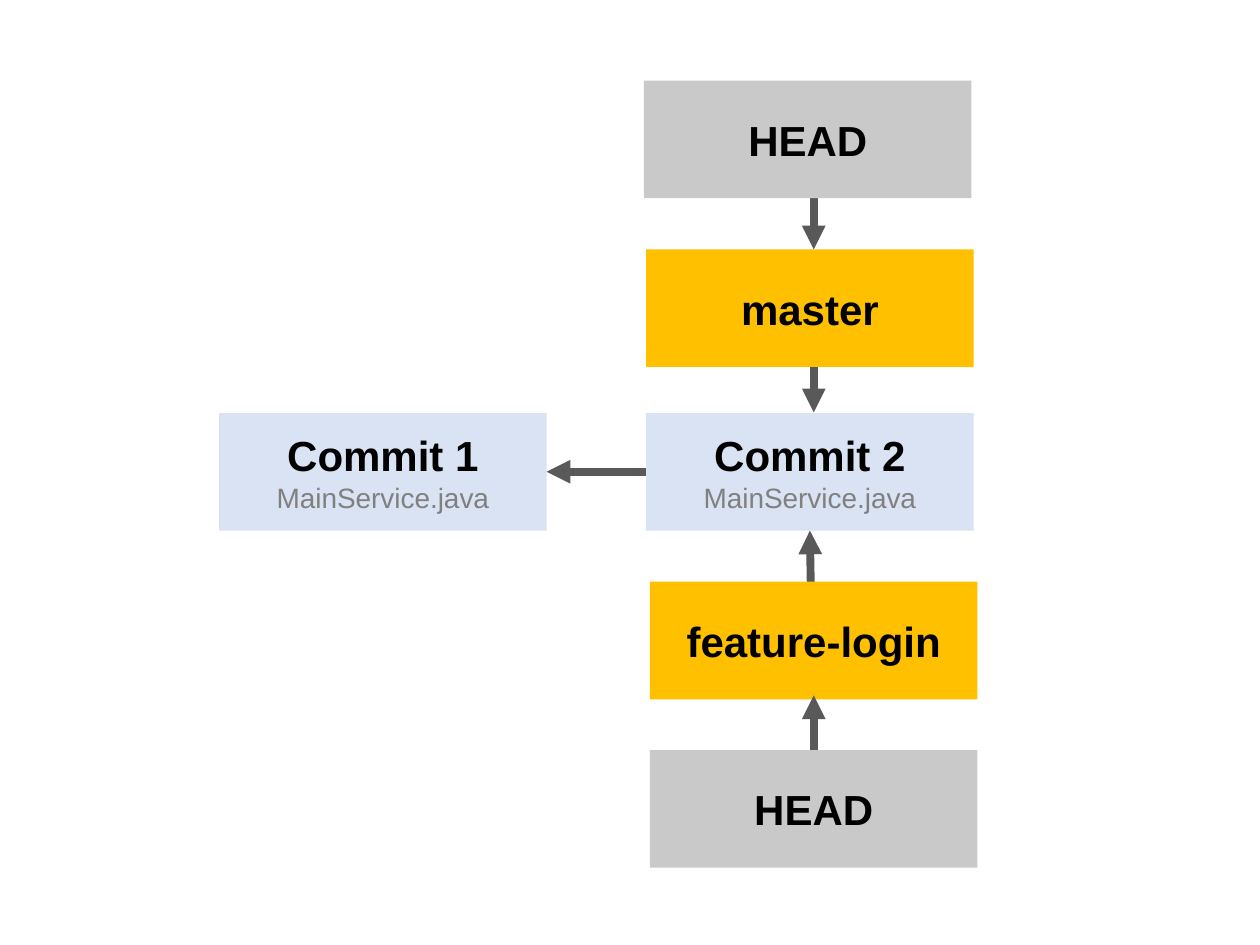
from dataclasses import dataclass

from lxml import etree
from pptx import Presentation
from pptx.dml.color import RGBColor
from pptx.enum.shapes import MSO_CONNECTOR, MSO_SHAPE
from pptx.enum.text import MSO_ANCHOR, PP_ALIGN
from pptx.oxml.ns import qn
from pptx.util import Pt

RECTANGLE = MSO_SHAPE.RECTANGLE
STRAIGHT = MSO_CONNECTOR.STRAIGHT
MIDDLE = MSO_ANCHOR.MIDDLE
CENTER = PP_ALIGN.CENTER
LEFT_SIDE, BOTTOM_SIDE, RIGHT_SIDE = 1, 2, 3


@dataclass(frozen=True)
class Theme:
    font: str = "Arial"
    name_size: float = 24
    file_size: float = 16
    arrow_width: float = 4.5
    text: str = "000000"
    muted: str = "808080"
    arrow: str = "595959"
    commit: str = "DAE3F3"
    branch: str = "FFC000"
    head: str = "C9C9C9"


BOX_WIDTH, BOX_HEIGHT = 187.2, 67.2
COMMIT_TOP = 236
MAIN_LEFT = 369.2
FEATURE_LEFT = 371.4
ARROW_X = 465


def write_text(para, text, *, font, size, color, bold=False):
    para.alignment = CENTER
    span = para.add_run()
    span.text = text
    span.font.name = font
    span.font.size = Pt(size)
    span.font.bold = bold
    span.font.color.rgb = RGBColor.from_string(color)


class Diagram:
    def __init__(self, page, theme):
        self.page = page
        self.theme = theme

    def box(self, left, top, fill, name, file_name=None):
        theme = self.theme
        box = self.page.shapes.add_shape(
            RECTANGLE, Pt(left), Pt(top), Pt(BOX_WIDTH), Pt(BOX_HEIGHT)
        )
        box.shadow.inherit = False
        box.fill.solid()
        box.fill.fore_color.rgb = RGBColor.from_string(fill)
        box.line.fill.background()
        frame = box.text_frame
        frame.word_wrap = True
        frame.vertical_anchor = MIDDLE
        write_text(frame.paragraphs[0], name, font=theme.font,
                   size=theme.name_size, color=theme.text, bold=True)
        if file_name:
            write_text(frame.add_paragraph(), file_name, font=theme.font,
                       size=theme.file_size, color=theme.muted)
        return box

    def arrow(self, start=(0, 0), end=(0, 0), begin_at=None, end_at=None):
        arrow = self.page.shapes.add_connector(
            STRAIGHT, *(Pt(value) for value in (*start, *end))
        )
        if begin_at:
            arrow.begin_connect(*begin_at)
        if end_at:
            arrow.end_connect(*end_at)
        arrow.line.fill.solid()
        arrow.line.fill.fore_color.rgb = RGBColor.from_string(self.theme.arrow)
        arrow.line.width = Pt(self.theme.arrow_width)
        properties = arrow._element.spPr
        outline = properties.find(qn("a:ln"))
        etree.SubElement(outline, qn("a:tailEnd"), type="triangle")
        etree.SubElement(properties, qn("a:effectLst"))


def main():
    deck = Presentation()
    deck.slide_width, deck.slide_height = Pt(720), Pt(540)
    page = deck.slides.add_slide(deck.slide_layouts[6])
    theme = Theme()
    diagram = Diagram(page, theme)

    second = diagram.box(MAIN_LEFT, COMMIT_TOP, theme.commit,
                         "Commit 2", "MainService.java")
    diagram.arrow((ARROW_X, 208), (ARROW_X, 235.6))
    diagram.box(MAIN_LEFT, 142.5, theme.branch, "master")
    first = diagram.box(125.2, COMMIT_TOP, theme.commit,
                        "Commit 1", "MainService.java")
    diagram.arrow(begin_at=(second, LEFT_SIDE), end_at=(first, RIGHT_SIDE))
    diagram.arrow(start=(463.3, 334), end_at=(second, BOTTOM_SIDE))
    diagram.arrow((ARROW_X, 110), (ARROW_X, 142.5))
    diagram.box(368, 46, theme.head, "HEAD")
    diagram.box(FEATURE_LEFT, 332.4, theme.branch, "feature-login")
    diagram.arrow((ARROW_X, 445), (ARROW_X, 397.4))
    diagram.box(FEATURE_LEFT, 428.6, theme.head, "HEAD")

    deck.save("out.pptx")


if __name__ == "__main__":
    main()
